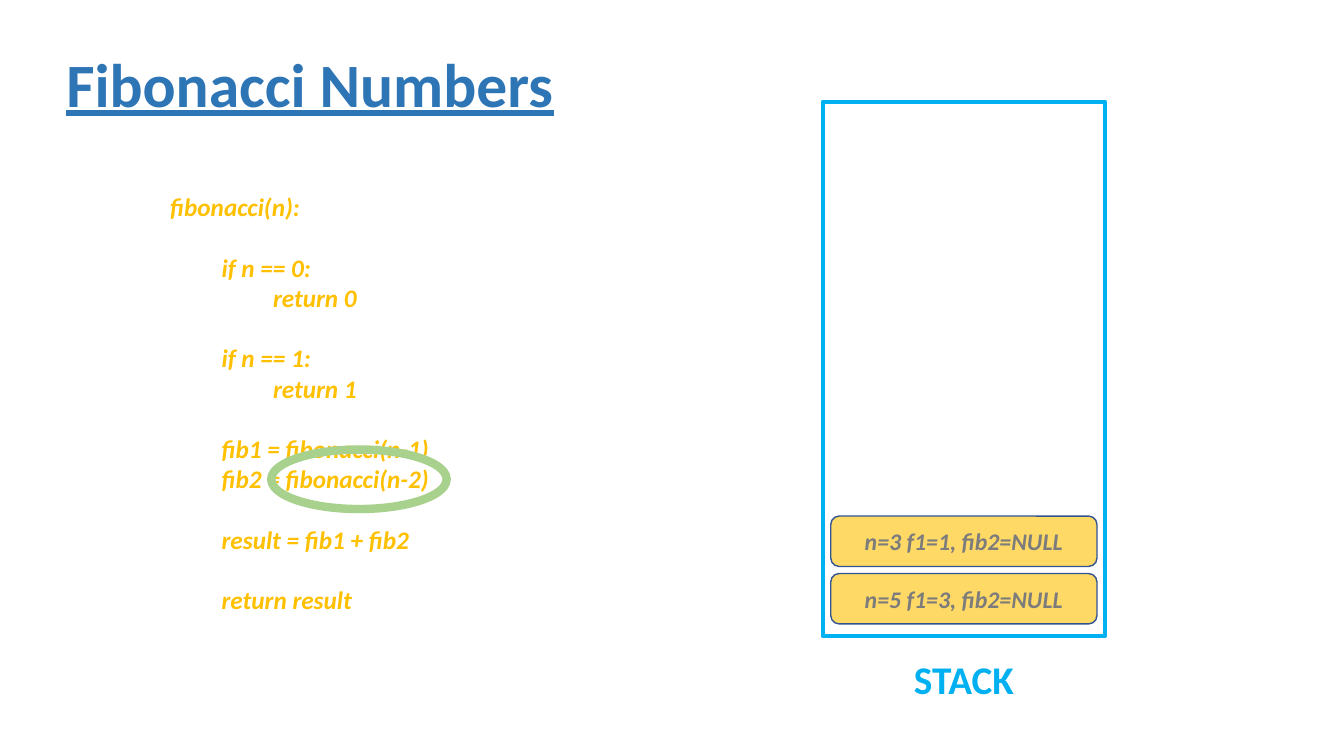
"""Build a slide showing the Fibonacci recursion beside its call stack."""
import pptx
import pptx.util
import pptx.dml.color
import pptx.enum.shapes
import pptx.enum.text

Inches = pptx.util.Inches
Pt = pptx.util.Pt
Shapes = pptx.enum.shapes.MSO_SHAPE
Align = pptx.enum.text.PP_ALIGN
Anchor = pptx.enum.text.MSO_ANCHOR

COLORS = {
    "title": "2E75B6",
    "stack": "00B0F0",
    "code": "FFC000",
    "frame": "FFD966",
    "frame_line": "325491",
    "frame_text": "7C7C7C",
    "highlight": "A9D18E",
}


class SlideBuilder:
    def __init__(self, slide, font_name="Calibri"):
        self.slide = slide
        self.font_name = font_name

    def color(self, name):
        return pptx.dml.color.RGBColor.from_string(COLORS[name])

    def style(self, paragraph, size, color, align=Align.LEFT, italic=False, underline=False):
        paragraph.alignment = align
        font = paragraph.font
        font.name, font.size, font.bold = self.font_name, Pt(size), True
        font.italic, font.underline = italic, underline
        font.color.rgb = self.color(color)

    def text(self, box, lines, size, color, anchor=Anchor.TOP, **style):
        shape = self.slide.shapes.add_textbox(*map(Inches, box))
        frame = shape.text_frame
        frame.word_wrap = True
        frame.vertical_anchor = anchor
        frame.text = "\n".join(lines)
        for paragraph in frame.paragraphs:
            self.style(paragraph, size, color, **style)
        return frame

    def code(self, box, lines, size, indent, gap):
        frame = self.text(box, [text for _, _, text in lines], size, "code", italic=True)
        for paragraph, (level, starts_block, _) in zip(frame.paragraphs, lines):
            paragraph._p.get_or_add_pPr().set("marL", str(Inches(level * indent)))
            paragraph.space_before = Pt(gap if starts_block else 0)

    def shape(self, kind, box, line, width, fill=None):
        shape = self.slide.shapes.add_shape(kind, *map(Inches, box))
        shape.shadow.inherit = False
        shape.line.color.rgb = self.color(line)
        shape.line.width = Pt(width)
        if fill:
            shape.fill.solid()
            shape.fill.fore_color.rgb = self.color(fill)
        else:
            shape.fill.background()
        return shape

    def stack_frame(self, box, label):
        shape = self.shape(Shapes.ROUNDED_RECTANGLE, box, "frame_line", 1, "frame")
        shape.text_frame.word_wrap = True
        shape.text_frame.vertical_anchor = Anchor.MIDDLE
        shape.text_frame.text = label
        self.style(shape.text_frame.paragraphs[0], 17, "frame_text", Align.CENTER, italic=True)


CODE_LINES = [
    (0, False, "fibonacci(n):"),
    (1, True, "if n == 0:"),
    (2, False, "return 0"),
    (1, True, "if n == 1:"),
    (2, False, "return 1"),
    (1, True, "fib1 = fibonacci(n-1)"),
    (1, False, "fib2 = fibonacci(n-2)"),
    (1, True, "result = fib1 + fib2"),
    (1, True, "return result"),
]
STACK_FRAMES = ["n=5 f1=3, fib2=NULL", "n=3 f1=1, fib2=NULL"]

presentation = pptx.Presentation()
presentation.slide_width = Inches(13.33)
presentation.slide_height = Inches(7.5)
builder = SlideBuilder(presentation.slides.add_slide(presentation.slide_layouts[6]))

title = builder.text((0.56, 0.14, 11.5, 1.45), ["Fibonacci Numbers"], 44, "title",
                     Anchor.MIDDLE, underline=True)
title.paragraphs[0].line_spacing = 0.9
builder.shape(Shapes.RECTANGLE, (8.16, 1.01, 2.8, 5.3), "stack", 3)
builder.text((8.86, 6.45, 1.4, 0.57), ["STACK"], 28, "stack", align=Align.CENTER)
builder.code((1.59, 1.85, 3.04, 4.34), CODE_LINES, size=18, indent=0.51, gap=21.6)
for depth, label in enumerate(STACK_FRAMES):
    builder.stack_frame((8.24, 5.69 - 0.57 * depth, 2.64, 0.5), label)
builder.shape(Shapes.OVAL, (2.69, 4.46, 1.74, 0.59), "highlight", 6)

presentation.save("out.pptx")
